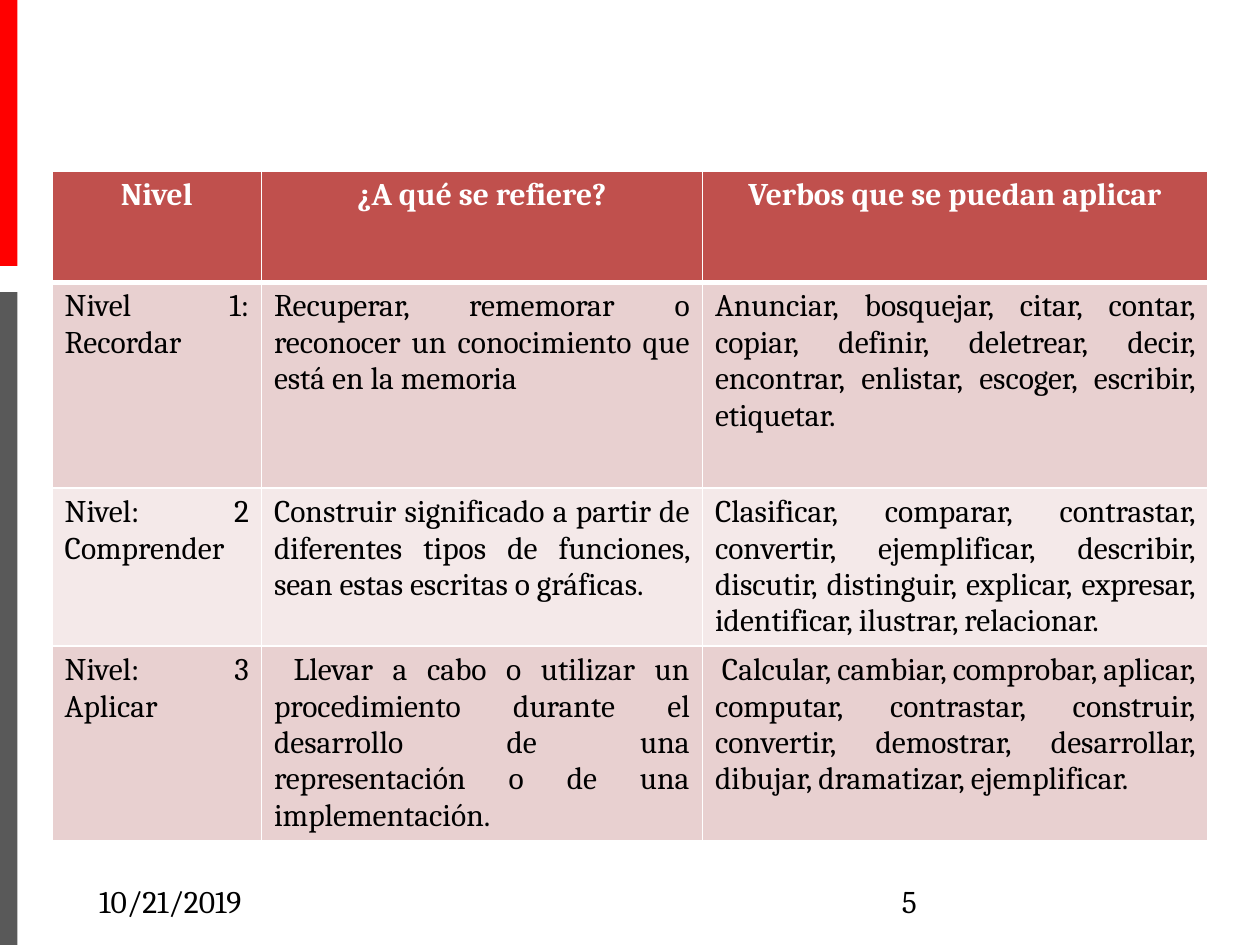
from lxml.etree import SubElement
from pptx import Presentation
from pptx.dml.color import RGBColor
from pptx.enum.shapes import MSO_SHAPE
from pptx.enum.text import PP_ALIGN
from pptx.oxml import parse_xml
from pptx.oxml.ns import nsdecls, qn
from pptx.util import Cm, Pt

RED = RGBColor(0xFF, 0x00, 0x00)
GRAY = RGBColor(0x59, 0x59, 0x59)
BRICK = RGBColor(0xC0, 0x50, 0x4D)
ROSE = RGBColor(0xE8, 0xD0, 0xD0)
PALE = RGBColor(0xF4, 0xE9, 0xE9)
WHITE = RGBColor(0xFF, 0xFF, 0xFF)
BLACK = RGBColor(0x00, 0x00, 0x00)

WIDTHS = (4.22, 8.89, 10.18)
HEIGHTS = (2.24, 4.15, 3.18, 3.92)
ROWS = (
    ("Nivel", "¿A qué se refiere?", "Verbos que se puedan aplicar"),
    ("Nivel 1: Recordar",
     "Recuperar, rememorar o reconocer un conocimiento que está en la memoria",
     "Anunciar, bosquejar, citar, contar, copiar, definir, deletrear, decir, "
     "encontrar, enlistar, escoger, escribir, etiquetar."),
    ("Nivel: 2 Comprender",
     "Construir significado a partir de diferentes tipos de funciones, "
     "sean estas escritas o gráficas.",
     "Clasificar, comparar, contrastar, convertir, ejemplificar, describir, "
     "discutir, distinguir, explicar, expresar, identificar, ilustrar, relacionar."),
    ("Nivel: 3 Aplicar",
     " Llevar a cabo o utilizar un procedimiento durante el desarrollo de una "
     "representación o de una implementación.",
     " Calcular, cambiar, comprobar, aplicar, computar, contrastar, construir, "
     "convertir, demostrar, desarrollar, dibujar, dramatizar, ejemplificar."),
)


def style(para, color, bold=False):
    font = para.font
    font.name = "Cambria"
    font.size = Pt(18)
    font.bold = bold
    font.color.rgb = color


def add_stripe(slide, left, top, width, height):
    """Red and gray bars, one above the other, with a gap between."""
    upper, lower = 5.36, 13.16
    for y, tall, color in ((top, upper, RED),
                           (top + height - lower, lower, GRAY)):
        bar = slide.shapes.add_shape(
            MSO_SHAPE.RECTANGLE, Cm(left), Cm(y), Cm(width), Cm(tall))
        bar.shadow.inherit = False
        bar.fill.solid()
        bar.fill.fore_color.rgb = color
        bar.line.fill.background()


def set_borders(cell, top, bottom):
    """White borders, with top and bottom widths in points."""
    props = cell._tc.get_or_add_tcPr()
    sides = (("lnL", 1), ("lnR", 1), ("lnT", top), ("lnB", bottom))
    for spot, (side, width) in enumerate(sides):
        line = parse_xml(f'<a:{side} {nsdecls("a")} w="{Pt(width)}"/>')
        fill = SubElement(line, qn("a:solidFill"))
        SubElement(fill, qn("a:srgbClr"), val=str(WHITE))
        props.insert(spot, line)


def add_levels(slide, left, top):
    frame = slide.shapes.add_table(
        len(ROWS), len(WIDTHS), Cm(left), Cm(top),
        Cm(sum(WIDTHS)), Cm(sum(HEIGHTS)))
    table = frame.table
    for col, width in zip(table.columns, WIDTHS):
        col.width = Cm(width)
    for row, height in zip(table.rows, HEIGHTS):
        row.height = Cm(height)
    for i, texts in enumerate(ROWS):
        head = i == 0
        color = BRICK if head else ROSE if i % 2 else PALE
        for j, text in enumerate(texts):
            cell = table.cell(i, j)
            cell.fill.solid()
            cell.fill.fore_color.rgb = color
            set_borders(cell, 3 if i == 1 else 1, 3 if head else 1)
            cell.text = text
            para = cell.text_frame.paragraphs[0]
            para.alignment = PP_ALIGN.CENTER if head else PP_ALIGN.JUSTIFY
            style(para, WHITE if head else BLACK, head)


def add_footer(slide, left, top, width, height):
    """Date at the left end of the box, slide number at the right."""
    part = 5.72
    for x, text in ((left, "10/21/2019"), (left + width - part, "5")):
        box = slide.shapes.add_textbox(Cm(x), Cm(top), Cm(part), Cm(height))
        box.text_frame.word_wrap = True
        box.text_frame.text = text
        style(box.text_frame.paragraphs[0], BLACK)


def main():
    deck = Presentation()
    deck.slide_width = Cm(25.4)
    deck.slide_height = Cm(19.05)
    slide = deck.slides.add_slide(deck.slide_layouts[6])
    add_stripe(slide, 0, 0, 0.35, 19.05)
    add_levels(slide, 1.05, 3.45)
    add_footer(slide, 1.75, 17.65, 21.9, 1.02)
    deck.save("out.pptx")


if __name__ == "__main__":
    main()
